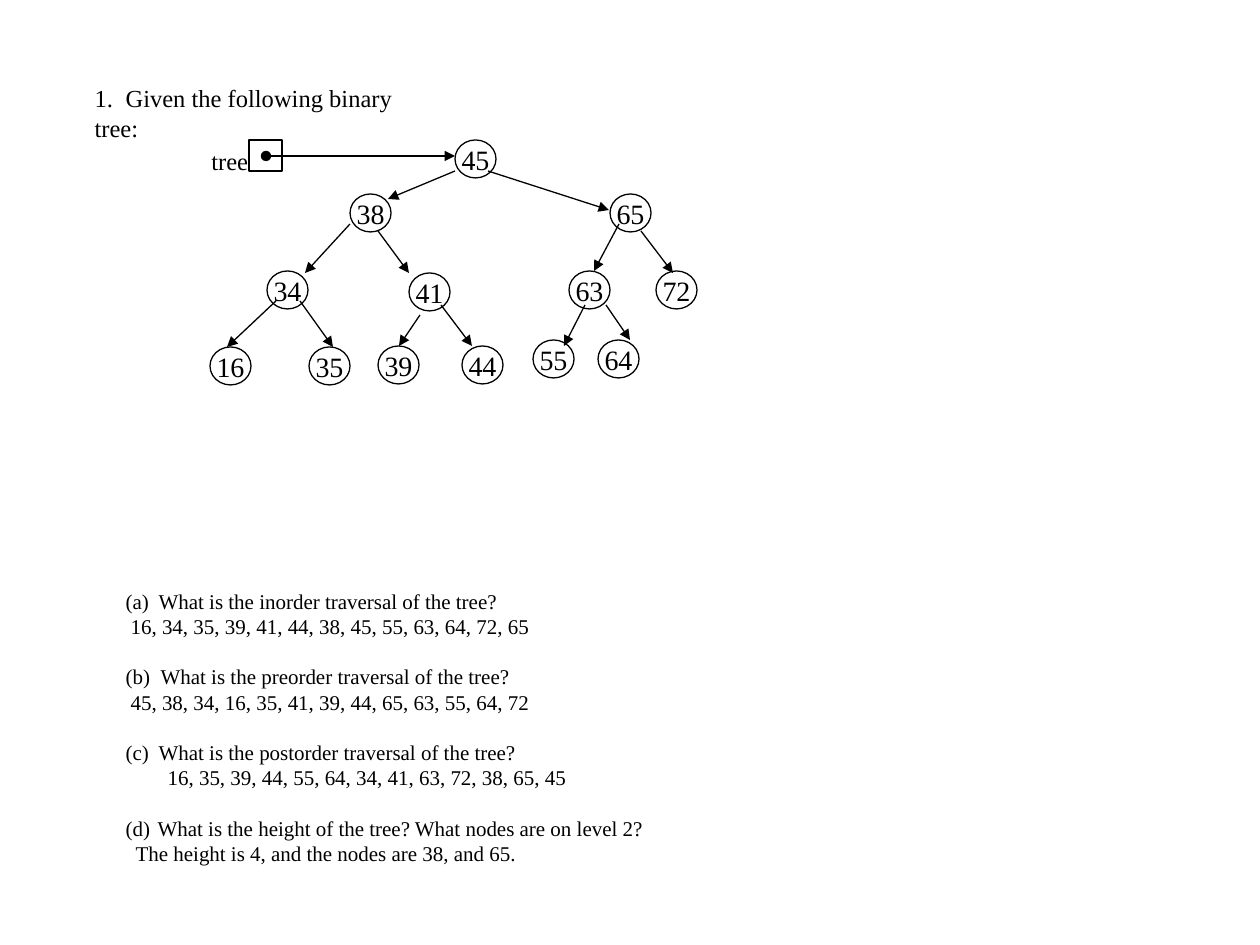
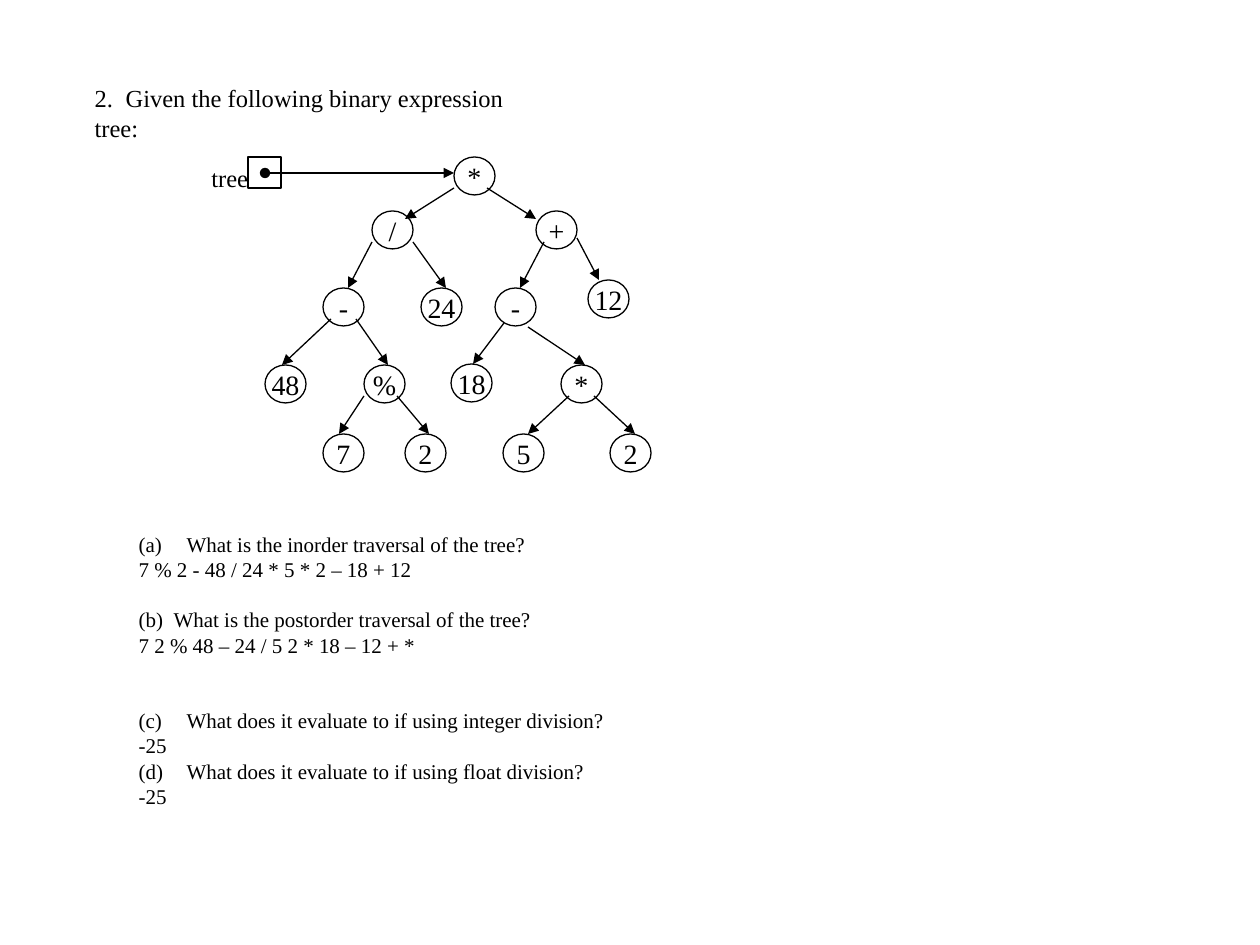
"""Build two review slides about binary tree traversal."""
from lxml.etree import SubElement
from pptx import Presentation
from pptx.dml.color import RGBColor
from pptx.enum.shapes import MSO_CONNECTOR, MSO_SHAPE
from pptx.enum.text import MSO_ANCHOR, MSO_AUTO_SIZE, PP_ALIGN
from pptx.oxml.ns import qn
from pptx.util import Pt

SCALE = 914400 / 126
BLACK = RGBColor(0, 0, 0)
FONT = "Times New Roman"
NODE_WIDTH, NODE_HEIGHT = 41, 38
BODY_LINE = 14.4

SEARCH_NODES = [
    ("45", 455, 140), ("38", 350, 194), ("65", 610, 194), ("63", 569, 271),
    ("34", 267, 271), ("35", 309, 347), ("16", 210, 347), ("39", 378, 346),
    ("41", 409, 273), ("72", 656, 271), ("64", 598, 340), ("55", 533, 340),
    ("44", 462, 346),
]
SEARCH_EDGES = [
    (455, 171, 388, 199), (488, 171, 609, 210), (350, 224, 305, 273),
    (619, 224, 594, 271), (276, 301, 227, 347), (300, 301, 333, 347),
    (378, 231, 409, 273), (420, 315, 399, 346), (641, 231, 673, 273),
    (606, 305, 630, 340), (585, 305, 564, 346), (441, 305, 472, 346),
]
SEARCH_QUESTIONS = [
    dict(text="(a)\tWhat is the inorder traversal of the tree?", hang=33),
    dict(text="16, 34, 35, 39, 41, 44, 38, 45, 55, 63, 64, 72, 65", indent=5),
    dict(text="(b)\tWhat is the preorder traversal of the tree?", hang=35, gap=1),
    dict(text="45, 38, 34, 16, 35, 41, 39, 44, 65, 63, 55, 64, 72", indent=5),
    dict(text="(c)\tWhat is the postorder traversal of the tree?", hang=33, gap=1),
    dict(text="16, 35, 39, 44, 55, 64, 34, 41, 63, 72, 38, 65, 45", indent=42),
    dict(text="What is the height of the tree? What nodes are on level 2?",
         hang=32, number=4, gap=1),
    dict(text="The height is 4, and the nodes are 38, and 65.", indent=10),
]
EXPRESSION_NODES = [
    ("*", 454, 157), ("/", 372, 211), ("+", 536, 211), ("24", 421, 288),
    ("-", 495, 288), ("-", 323, 288), ("%", 364, 365), ("48", 265, 365),
    ("7", 323, 434), ("2", 405, 434), ("*", 561, 365), ("5", 503, 434),
    ("2", 610, 434), ("12", 588, 280), ("18", 451, 364),
]
EXPRESSION_EDGES = [
    (454, 188, 405, 219), (487, 188, 536, 219), (372, 242, 348, 288),
    (413, 242, 446, 288), (544, 242, 520, 288), (331, 319, 282, 365),
    (356, 319, 388, 365), (364, 396, 339, 434), (397, 396, 429, 434),
    (528, 327, 585, 365), (569, 396, 528, 434), (594, 396, 635, 434),
    (577, 238, 599, 280), (504, 323, 473, 364),
]
EXPRESSION_QUESTIONS = [
    dict(text="What is the inorder traversal of the tree?", hang=48, number=1),
    dict(text="7 % 2 - 48 / 24 * 5 * 2 – 18 + 12"),
    dict(text="(b)\tWhat is the postorder traversal of the tree?", hang=35, gap=1),
    dict(text="7 2 % 48 – 24 / 5 2 * 18 – 12 + *"),
    dict(text="What does it evaluate to if using integer division?",
         hang=48, number=3, gap=2),
    dict(text="-25"),
    dict(text="What does it evaluate to if using float division?", hang=48, number=4),
    dict(text="-25"),
]


def px(value):
    return round(value * SCALE)


class TreeDeck:
    """Holds the shared style and draws on the current slide."""

    def __init__(self):
        self.presentation = Presentation()
        self.presentation.slide_width = px(1260)
        self.presentation.slide_height = px(945)
        self.slide = None

    def add_slide(self):
        layout = self.presentation.slide_layouts[1]
        self.slide = self.presentation.slides.add_slide(layout)

    def style(self, paragraph, size, alignment=PP_ALIGN.LEFT):
        paragraph.alignment = alignment
        paragraph.font.size = Pt(size)
        paragraph.font.name = FONT
        paragraph.font.color.rgb = BLACK

    def place(self, shape, left, top, width, height):
        shape.left, shape.top = px(left), px(top)
        shape.width, shape.height = px(width), px(height)
        frame = shape.text_frame
        frame.word_wrap = True
        frame.auto_size = MSO_AUTO_SIZE.NONE
        frame.vertical_anchor = MSO_ANCHOR.TOP
        return frame

    def tab_stop(self, properties, position):
        stops = SubElement(properties, qn("a:tabLst"))
        SubElement(stops, qn("a:tab"), pos=str(px(position)), algn="l")

    def title(self, text, width):
        frame = self.place(self.slide.shapes.title, 82, 76, width, 72)
        frame.text = text
        paragraph = frame.paragraphs[0]
        self.tab_stop(paragraph._p.get_or_add_pPr(), 31)
        paragraph.line_spacing = Pt(17.1)
        self.style(paragraph, 14)

    def questions(self, items, left, top, width, height):
        frame = self.place(self.slide.placeholders[1], left, top, width, height)
        for index, item in enumerate(items):
            paragraph = frame.add_paragraph() if index else frame.paragraphs[0]
            self.question_line(paragraph, **item)

    def question_line(self, paragraph, text, hang=0, indent=0, number=None, gap=0):
        paragraph.text = text
        properties = paragraph._p.get_or_add_pPr()
        properties.set("marL", str(px(hang + indent)))
        properties.set("indent", str(px(-hang)))
        if number:
            SubElement(properties, qn("a:buFont"), typeface=FONT)
            SubElement(properties, qn("a:buAutoNum"),
                       type="alphaLcParenBoth", startAt=str(number))
        else:
            SubElement(properties, qn("a:buNone"))
            if hang:
                self.tab_stop(properties, hang)
        paragraph.line_spacing = Pt(BODY_LINE)
        paragraph.space_before = Pt(gap * BODY_LINE)
        self.style(paragraph, 12)

    def outline(self, preset, left, top, width, height):
        shape = self.slide.shapes.add_shape(
            preset, px(left), px(top), px(width), px(height))
        shape.shadow.inherit = False
        shape.fill.background()
        shape.line.color.rgb = BLACK
        shape.line.width = Pt(0.75)
        return shape

    def node(self, text, left, top):
        shape = self.outline(MSO_SHAPE.OVAL, left, top, NODE_WIDTH, NODE_HEIGHT)
        frame = shape.text_frame
        frame.margin_left = frame.margin_right = 0
        frame.margin_top = frame.margin_bottom = 0
        frame.word_wrap = False
        frame.vertical_anchor = MSO_ANCHOR.MIDDLE
        frame.text = text
        self.style(frame.paragraphs[0], 16, PP_ALIGN.CENTER)

    def arrow(self, start_x, start_y, end_x, end_y, head=None):
        connector = self.slide.shapes.add_connector(
            MSO_CONNECTOR.STRAIGHT, px(start_x), px(start_y), px(end_x), px(end_y))
        connector.line.color.rgb = BLACK
        connector.line.width = Pt(0.75)
        line = connector.line._get_or_add_ln()
        if head:
            SubElement(line, qn("a:headEnd"), type=head)
        SubElement(line, qn("a:tailEnd"), type="triangle")
        SubElement(connector._element.spPr, qn("a:effectLst"))

    def root_pointer(self, left, top):
        self.outline(MSO_SHAPE.RECTANGLE, left, top, 33, 31)
        label = self.slide.shapes.add_textbox(px(199), px(top), px(62), px(42))
        label.text_frame.word_wrap = False
        label.text_frame.text = "tree"
        self.style(label.text_frame.paragraphs[0], 14)
        self.arrow(left + 17, top + 16, left + 206, top + 16, head="oval")

    def tree(self, nodes, edges, pointer):
        for node in nodes:
            self.node(*node)
        for edge in edges:
            self.arrow(*edge)
        self.root_pointer(*pointer)


def main():
    deck = TreeDeck()

    deck.add_slide()
    deck.title("1.\tGiven the following binary tree:", 360)
    deck.questions(SEARCH_QUESTIONS, 113, 582, 667, 292)
    deck.tree(SEARCH_NODES, SEARCH_EDGES, (249, 140))

    deck.add_slide()
    deck.title("2.\tGiven the following binary expression tree:", 470)
    deck.questions(EXPRESSION_QUESTIONS, 126, 525, 520, 344)
    deck.tree(EXPRESSION_NODES, EXPRESSION_EDGES, (248, 157))

    deck.presentation.save("out.pptx")


if __name__ == "__main__":
    main()
